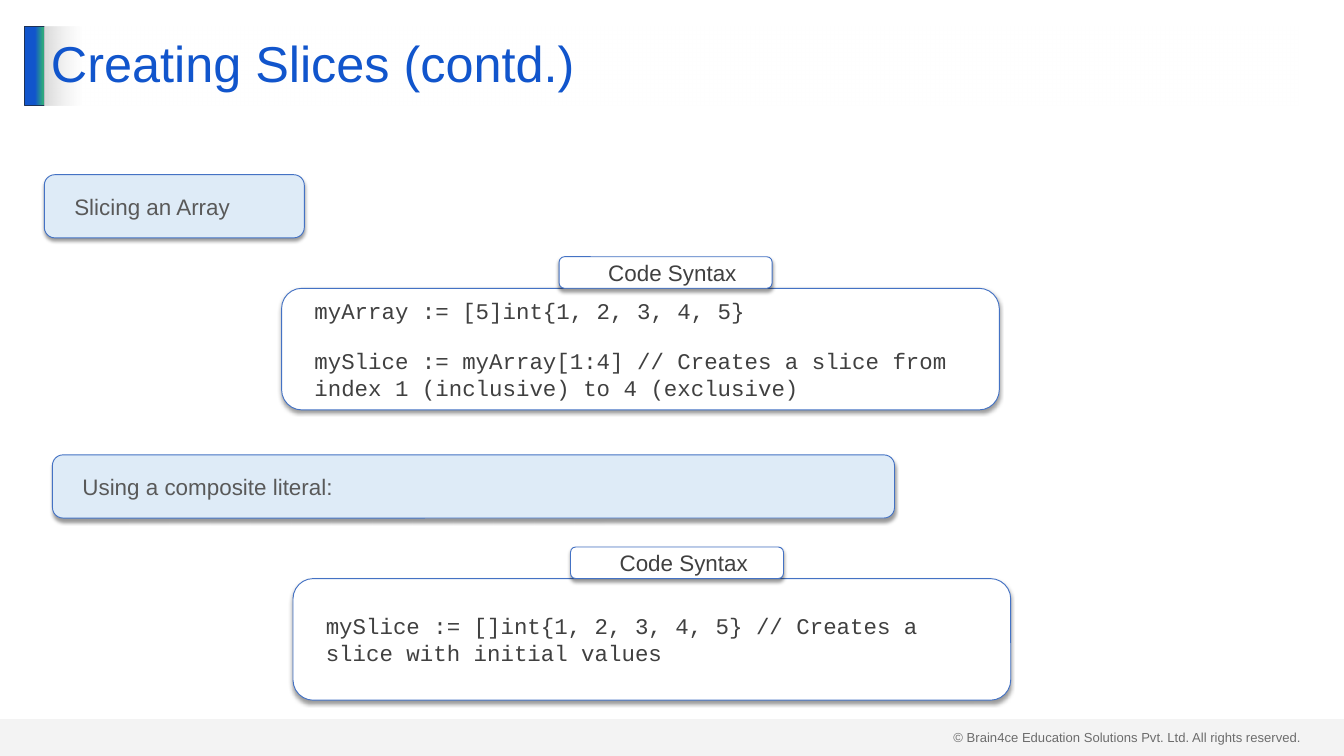
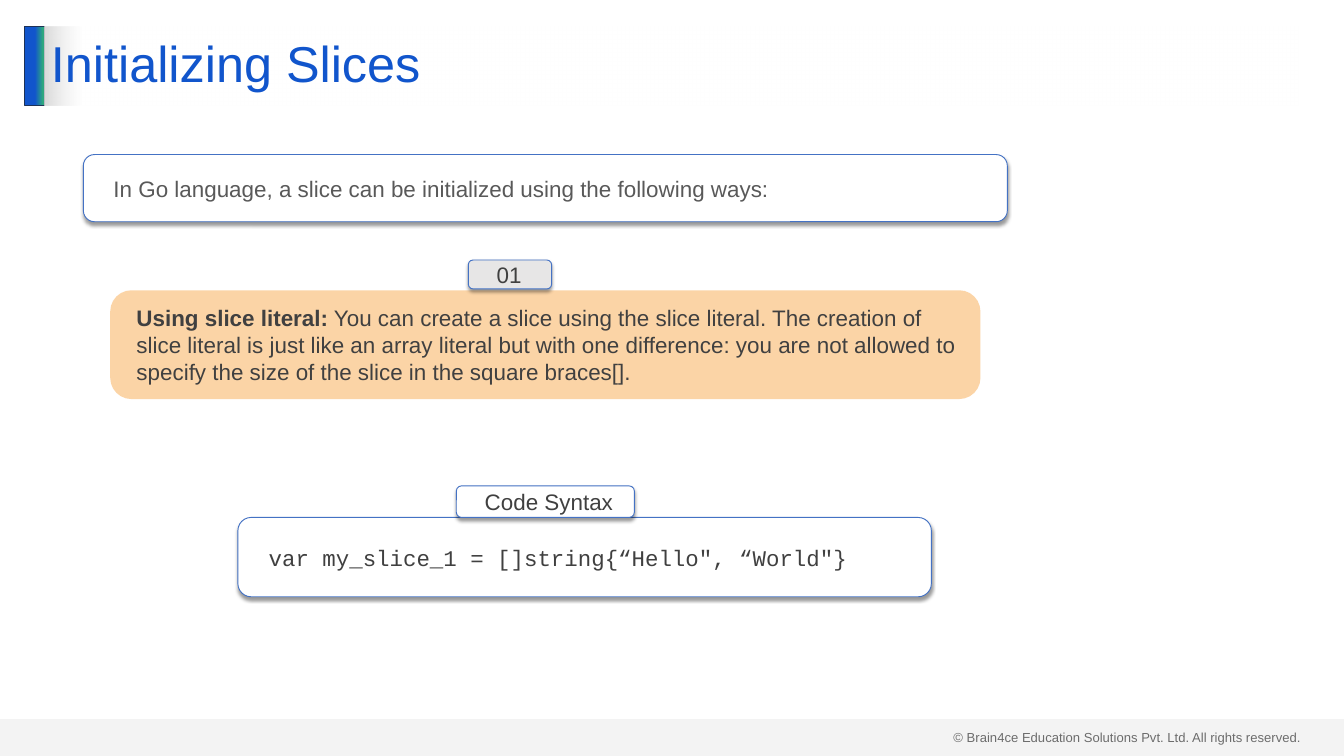
from lxml import etree
from pptx import Presentation
from pptx.dml.color import RGBColor
from pptx.enum.shapes import MSO_SHAPE
from pptx.enum.text import MSO_ANCHOR, PP_ALIGN
from pptx.oxml.ns import qn
from pptx.util import Pt

RECT, ROUND = MSO_SHAPE.RECTANGLE, MSO_SHAPE.ROUNDED_RECTANGLE
MIDDLE = MSO_ANCHOR.MIDDLE
LEFT, CENTER = PP_ALIGN.LEFT, PP_ALIGN.CENTER


class Theme:
    blue, green, navy = "1155CC", "2EA87D", "1E3256"
    edge, pale, white = "4472C4", "DEEBF7", "FFFFFF"
    silver, gray, orange = "D9D9D9", "E7E6E6", "FABE79"
    ink, soft, black = "404040", "595959", "000000"
    sans, mono = "Arial", "Courier New"
    head, body, small = 54, 24, 14
    bar = [(51, blue, 100), (90, green, 100), (100, green, 100)]
    fade = [(0, silver, 100), (3, white, 50)]
    indent, gap, tab = 14.4, 24, 33.8


def box(slide, kind, at, fill, line=None, alpha=100, shade=False):
    """Draw a shape; fill is a colour or a list of (percent, colour, alpha) stops."""
    shape = slide.shapes.add_shape(kind, *map(Pt, at))
    shape.shadow.inherit = False
    props = shape._element.spPr
    if isinstance(fill, list):
        shape.fill.gradient()
        shape.fill.gradient_angle = 0
        stops = props.find(qn("a:gradFill")).find(qn("a:gsLst"))
        for stop in list(stops):
            stops.remove(stop)
        for pos, color, solid in fill:
            stop = etree.SubElement(stops, qn("a:gs"), pos=str(pos * 1000))
            tint = etree.SubElement(stop, qn("a:srgbClr"), val=color)
            etree.SubElement(tint, qn("a:alpha"), val=str(solid * 1000))
    else:
        shape.fill.solid()
        shape.fill.fore_color.rgb = RGBColor.from_string(fill)
        if alpha < 100:
            tint = props.find(qn("a:solidFill"))[0]
            etree.SubElement(tint, qn("a:alpha"), val=str(alpha * 1000))
    if line:
        shape.line.color.rgb = RGBColor.from_string(line)
        shape.line.width = Pt(1)
    else:
        shape.line.fill.background()
    if shade:
        cast = etree.SubElement(
            props.find(qn("a:effectLst")), qn("a:outerShdw"), blurRad=str(Pt(4)),
            dist=str(Pt(3)), dir="5400000", algn="t", rotWithShape="0")
        tint = etree.SubElement(cast, qn("a:srgbClr"), val=Theme.black)
        etree.SubElement(tint, qn("a:alpha"), val="40000")
    return shape


def write(shape, lines, size=Theme.body, color=Theme.ink, font=Theme.sans,
          align=LEFT, indent=Theme.indent, pad=(14.4, 7.2), lead=None):
    """Fill a shape with paragraphs; lead is a bold opening for the first."""
    frame = shape.text_frame
    frame.word_wrap = True
    frame.vertical_anchor = MIDDLE
    frame.margin_left = frame.margin_right = Pt(pad[0])
    frame.margin_top = frame.margin_bottom = Pt(pad[1])
    frame.text = "\n".join(lines)
    if lead:
        first = frame.paragraphs[0]
        first.text = lead
        first.runs[0].font.bold = True
        first.add_run().text = lines[0]
    for num, para in enumerate(frame.paragraphs):
        para.alignment = align
        if indent:
            rule = para._p.get_or_add_pPr()
            rule.set("marL", str(Pt(indent)))
            rule.set("indent", "0")
        if num:
            para.space_before = Pt(Theme.gap)
        for run in para.runs:
            run.font.size = Pt(size)
            run.font.name = font
            run.font.color.rgb = RGBColor.from_string(color)


deck = Presentation()
deck.slide_width, deck.slide_height = Pt(1440), Pt(810)

# Each card: place, fill, text. Each code block: place, tab offset, tab width, tab align, lines.
pages = [
    ("Creating Slices (contd.)",
     [((47.5, 187.2, 278.6, 67.7), Theme.pale, "Slicing an Array"),
      ((56.2, 487.4, 902.2, 67.7), Theme.pale, "Using a composite literal:")],
     [((301.7, 308.9, 769, 130.3), 297.4, 228.2, CENTER,
       ["myArray := [5]int{1, 2, 3, 4, 5}",
        "mySlice := myArray[1:4] // Creates a slice from index 1 (inclusive) to 4 (exclusive)"]),
      ((313.9, 619.9, 769, 130.3), 297.4, 228.2, CENTER,
       ["mySlice := []int{1, 2, 3, 4, 5} // Creates a slice with initial values"])]),
    ("Initializing Slices",
     [((89.3, 165.6, 990, 72), Theme.white,
       "In Go language, a slice can be initialized using the following ways:")],
     [((254.9, 554.4, 743, 85), 234, 190.8, LEFT,
       ["var my_slice_1 = []string{“Hello\", “World\"}"])]),
]

for title, cards, codes in pages:
    slide = deck.slides.add_slide(deck.slide_layouts[6])

    # Footer, accent bar and title
    note = slide.shapes.add_textbox(Pt(1014.5), Pt(777.6), Pt(389.5), Pt(24.5))
    write(note, ["© Brain4ce Education Solutions Pvt. Ltd. All rights reserved."],
          size=Theme.small, indent=0, pad=(7.2, 3.6))
    box(slide, RECT, (26.6, 28.1, 21.6, 85), Theme.bar, Theme.navy)
    box(slide, RECT, (0, 770.4, 1440, 39.6), Theme.silver, alpha=29)
    head = box(slide, RECT, (47.5, 28.1, 1344.2, 85), Theme.fade)
    write(head, [title], size=Theme.head, color=Theme.blue, indent=0, pad=(7.2, 3.6))
    head.text_frame.paragraphs[0].line_spacing = 0.9

    for at, fill, text in cards:
        card = box(slide, ROUND, at, fill, Theme.edge, shade=True)
        write(card, [text], color=Theme.soft)

    for at, shift, width, align, lines in codes:
        code = box(slide, ROUND, at, Theme.white, Theme.edge, shade=True)
        write(code, lines, font=Theme.mono)
        place = (at[0] + shift, at[1] - Theme.tab, width, Theme.tab)
        tab = box(slide, ROUND, place, Theme.white, Theme.edge, shade=True)
        write(tab, ["Code Syntax"], align=align)

# Numbered method on the last slide
way = box(slide, ROUND, (118.1, 311, 932.4, 116.6), Theme.orange, alpha=66)
way.adjustments[0] = 0.195
write(way, [" You can create a slice using the slice literal. The creation of slice literal "
            "is just like an array literal but with one difference: you are not allowed to "
            "specify the size of the slice in the square braces[]."],
      pad=(7.2, 3.6), lead="Using slice literal:")
mark = box(slide, ROUND, (501.8, 278.6, 89.3, 31), Theme.gray, Theme.edge, shade=True)
write(mark, ["01"])

deck.save("out.pptx")
